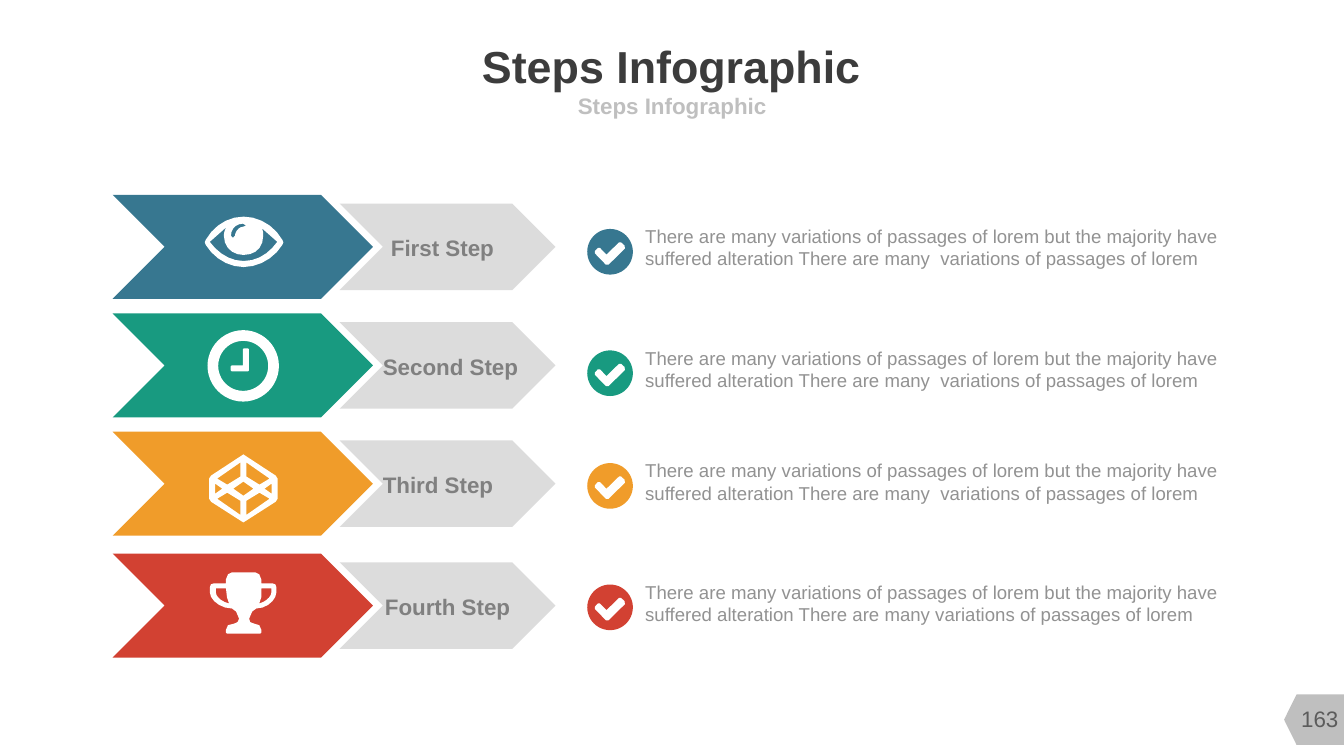
from dataclasses import dataclass

from lxml import etree
from pptx import Presentation
from pptx import util as u
from pptx.dml import color
from pptx.enum import shapes, text
from pptx.oxml import ns


@dataclass(frozen=True)
class Theme:
    font: str = "Arial"
    title: str = "3C3C3C"
    subtitle: str = "BFBFBF"
    label: str = "808080"
    body: str = "929292"
    arrow: str = "D9D9D9"
    tag: str = "BFBFBF"
    number: str = "5C5C5C"
    icon: str = "FFFFFF"
    steps: tuple = ("377790", "189A80", "F09C2A", "D24132")
    title_size: float = 32
    label_size: float = 16
    body_size: float = 13.3


T = Theme()
INCH_CENT = u.Cm(2.54) / 100  # icon outlines are drawn in hundredths of an inch
CURVE_STEPS = 5

# Outlines: ";" parts contours, "," parts segments; 2 numbers a line, 6 a curve
CHECK = ("37 16.5, 33.5 13.3, 31.5 13.3, 19 25.5, 12.5 18.8, 10.5 18.8, 7.5 22, 7.5 24.2,"
         "18.5 35.5, 21 35.5, 37.3 19.5")
EYE = (
    "77 28, 69 41 54 50 38.5 50, 23 50 9 41 1 28, 0 25.5, 1 23, 9 9 23 0 38.5 0,"
    "54 0 69 9 77 23, 78 25.5;"
    "55 10, 58 12 58 16 58 19, 58 31 50 38 38.5 38, 28 38 19 31 19 19, 19 16 20 12 22 10,"
    "5 25, 13 36 25 44 38.5 44, 53 44 64 36 72 25;"
    "38 7, 31 7 26 12 26 19, 28 21, 30 19, 30 15 34 10 38 10, 41 9")
CLOCK_HANDS = "41 40, 40 41, 24 41, 23 40, 23 36, 24 35, 35 35, 35 19, 36 18, 40 18, 41 19"
CUBE = (
    "68 44, 66 47, 34 67.5, 2 47, 0 44, 0 24, 2 21, 34 0, 66 21, 68 24;"
    "13 34, 6 29, 6 39; 55 34, 62 29, 62 39; 44 34, 34 27, 24 34, 34 41;"
    "31 22, 31 8, 8 24, 18 30; 37 22, 37 8, 60 24, 50 30;"
    "31 60, 31 46, 18 38, 8 44; 37 60, 37 46, 50 38, 60 44")
TROPHY = (
    "66 20, 66 27 57 36 46 36, 42 39, 39 46, 40 49.5, 44 51, 49 52.5, 51 57, 51 60, 50 61,"
    "17 61, 16 60, 16 57, 18 52.5, 24 51, 27.5 49.5, 29 46, 26 39, 22 36,"
    "10 36 0 27 0 20, 0 15, 1 12, 4 11, 16 11, 16 7, 18 2, 22 0, 45 0, 49 2, 51 7,"
    "51 11, 62 11, 65 12, 66 15;"
    "16 16, 6 16, 6 20, 6 24 11 29 19 31, 17 25;"
    "61 16, 51 16, 51 25, 49 31, 56 29 61 24 61 20")

COPY = ("There are many variations of passages of lorem but the majority have "
        "suffered alteration There are many  variations of passages of lorem")
LAST_COPY = " ".join(COPY.split())

# label, label left and width, arrow top, badge top, icon, icon left and top (cm)
STEPS = [
    ("First Step", 9.83, 2.64, 4.91, 5.77, EYE, 5.16, 5.46, COPY),
    ("Second Step", 9.63, 3.45, 7.9, 8.83, CLOCK_HANDS, 5.23, 8.32, COPY),
    ("Third Step", 9.63, 2.82, 10.88, 11.67, CUBE, 5.27, 11.45, COPY),
    ("Fourth Step", 9.68, 3.2, 13.95, 14.73, TROPHY, 5.29, 14.42, LAST_COPY),
]

prs = Presentation()
prs.slide_width, prs.slide_height = u.Cm(33.87), u.Cm(19.05)
s = prs.slides.add_slide(prs.slide_layouts[6])
painted = []  # (shape, colour), filled in at the end


def write(holder, words, left, top, width, height, *, size, colour, bold=False,
          align=text.PP_ALIGN.CENTER, anchor=text.MSO_ANCHOR.MIDDLE, wrap=False):
    tb = holder.add_textbox(u.Cm(left), u.Cm(top), u.Cm(width), u.Cm(height))
    tf = tb.text_frame
    tf.margin_left = tf.margin_right = tf.margin_top = tf.margin_bottom = 0
    tf.word_wrap, tf.vertical_anchor = wrap, anchor
    p = tf.paragraphs[0]
    p.alignment = align
    r = p.add_run()
    r.text = words
    r.font.name, r.font.size, r.font.bold = T.font, u.Pt(size), bold
    r.font.color.rgb = color.RGBColor.from_string(colour)


def outline(drawing, left, top):
    builder = None
    for contour in drawing.split(";"):
        points = []
        for segment in contour.split(","):
            n = [float(v) * INCH_CENT for v in segment.split()]
            if len(n) == 2:
                points.append(tuple(n))
                continue
            x, y = points[-1]
            for k in range(1, CURVE_STEPS + 1):
                t = k / CURVE_STEPS
                a, b, c, d = (1 - t) ** 3, 3 * t * (1 - t) ** 2, 3 * t * t * (1 - t), t ** 3
                points.append((a * x + b * n[0] + c * n[2] + d * n[4],
                               a * y + b * n[1] + c * n[3] + d * n[5]))
        if builder is None:
            builder = s.shapes.build_freeform(*points[0])
        else:
            builder.move_to(*points[0])
        builder.add_line_segments(points[1:], close=True)
    return builder.convert_to_shape(u.Cm(left), u.Cm(top))


# Page number tag
tag = s.shapes.add_shape(shapes.MSO_SHAPE.FLOWCHART_OFFPAGE_CONNECTOR,
                         u.Cm(32.51), u.Cm(17.35), u.Cm(1.27), u.Cm(1.57))
tag.rotation = 90
painted.append((tag, T.tag))
write(s.shapes, "163", 32.41, 17.6, 1.7, 1.02, size=T.label_size, colour=T.number)

# Headings
write(s.shapes, "Steps Infographic", 6.48, 0.99, 20.88, 1.32,
      size=T.title_size, colour=T.title, bold=True)
write(s.shapes, "Steps Infographic", 9.32, 2.29, 15.24, 0.74,
      size=T.label_size, colour=T.subtitle, bold=True, wrap=True)

# Steps
for step, step_colour in zip(STEPS, T.steps):
    label, label_left, label_width, top, badge_top, icon, icon_left, icon_top, copy = step
    middle = top + 1.31

    arrow = s.shapes.add_shape(shapes.MSO_SHAPE.CHEVRON,
                               u.Cm(2.84), u.Cm(top), u.Cm(6.56), u.Cm(2.62))
    painted.append((arrow, step_colour))
    painted.append((outline(icon, icon_left, icon_top), T.icon))
    if icon == CLOCK_HANDS:
        rim = s.shapes.add_shape(shapes.MSO_SHAPE.DONUT,
                                 u.Cm(icon_left), u.Cm(icon_top), u.Cm(1.8), u.Cm(1.8))
        rim.adjustments[0] = 0.15
        painted.append((rim, T.icon))

    grp = s.shapes.add_group_shape()
    label_arrow = grp.shapes.add_shape(shapes.MSO_SHAPE.CHEVRON,
                                       u.Cm(8.56), u.Cm(middle - 1.09), u.Cm(5.44), u.Cm(2.18))
    painted.append((label_arrow, T.arrow))
    write(grp.shapes, label, label_left, middle - 0.32, label_width, 0.68,
          size=T.label_size, colour=T.label, bold=True)

    badge = s.shapes.add_shape(shapes.MSO_SHAPE.OVAL,
                               u.Cm(14.8), u.Cm(badge_top), u.Cm(1.15), u.Cm(1.15))
    painted.append((badge, step_colour))
    painted.append((outline(CHECK, 14.8, badge_top), T.icon))
    write(s.shapes, copy, 16.26, badge_top - 0.1, 14.96, 1.14, size=T.body_size, colour=T.body,
          align=text.PP_ALIGN.LEFT, anchor=text.MSO_ANCHOR.TOP, wrap=True)

# Fills, with the label arrows slightly see-through
for sp, fill in painted:
    sp.shadow.inherit = False
    sp.line.fill.background()
    sp.fill.solid()
    sp.fill.fore_color.rgb = color.RGBColor.from_string(fill)
    if fill == T.arrow:
        srgb = sp.element.spPr.find(".//" + ns.qn("a:srgbClr"))
        etree.SubElement(srgb, ns.qn("a:alpha"), val="90000")

prs.save("out.pptx")
